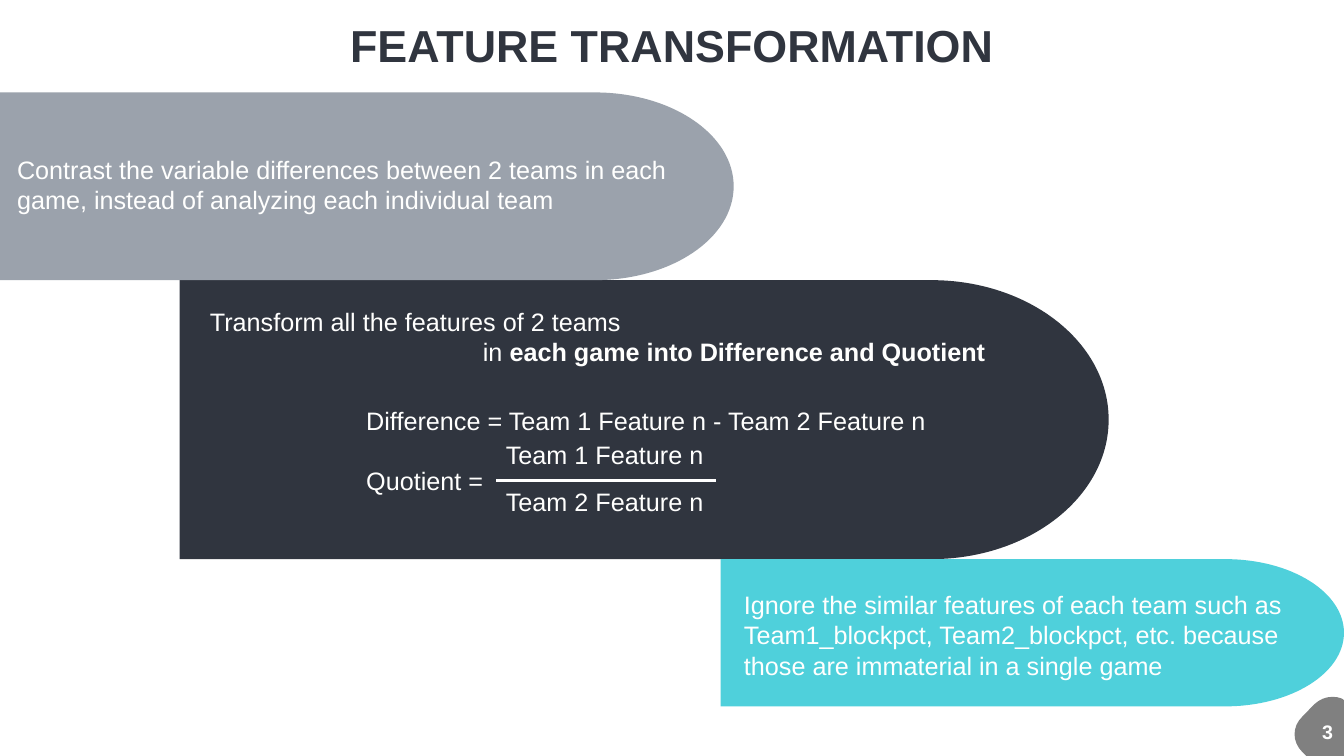
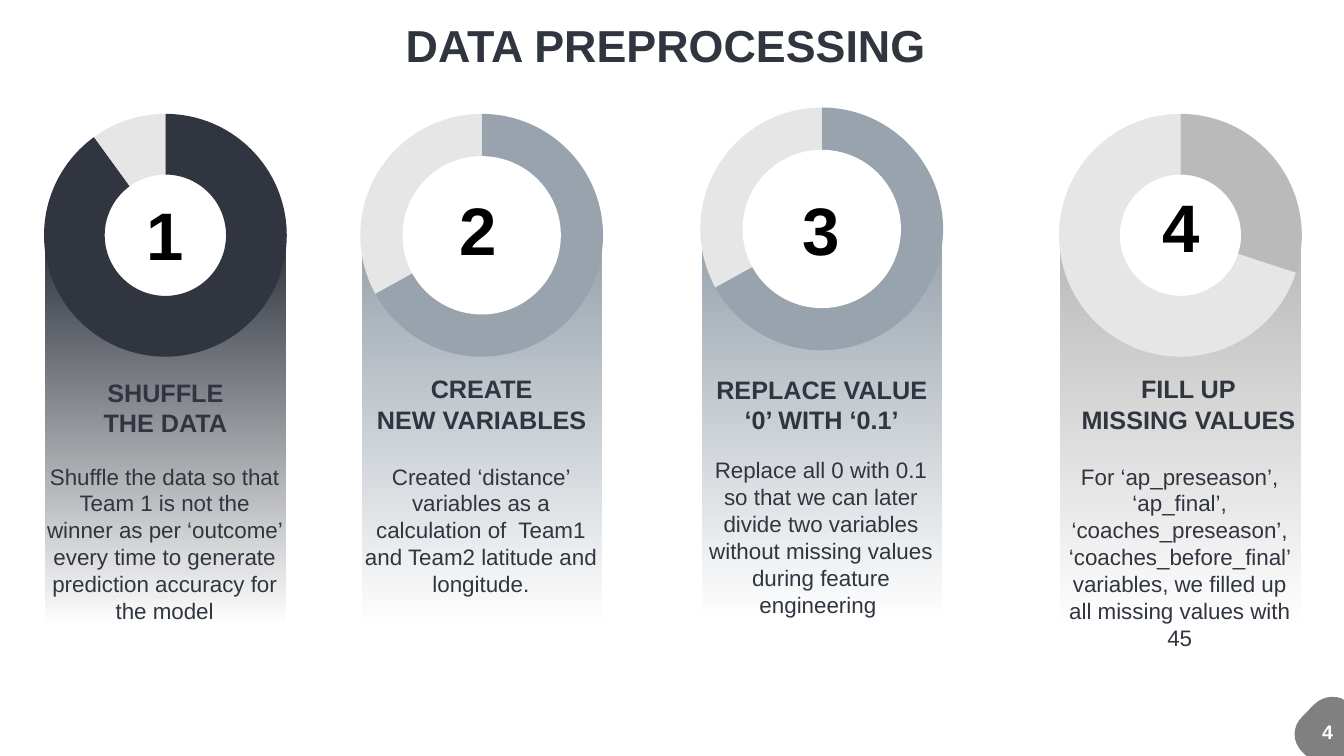
from lxml.etree import SubElement
from pptx import Presentation
from pptx.chart.data import CategoryChartData
from pptx.dml.color import RGBColor
from pptx.enum.chart import XL_CHART_TYPE
from pptx.enum.shapes import MSO_CONNECTOR, MSO_SHAPE
from pptx.enum.text import MSO_ANCHOR, PP_ALIGN
from pptx.oxml import parse_xml
from pptx.oxml.ns import nsdecls, qn
from pptx.util import Cm, Pt

COLORS = {
    "dark": "30353F",
    "gray": "9BA2AC",
    "teal": "4FD0DB",
    "steel": "98A3AD",
    "silver": "BABABA",
    "rest": "E6E6E6",
    "badge": "808080",
    "white": "FFFFFF",
    "light": "FFFFFE",
    "black": "000000",
}
FONT = "Arial"
WIDTH, HEIGHT = 33.87, 19.05
RING_WIDTH, RING_HEIGHT, RING_SIZE = 10.21, 6.81, 6.12
DISC_SIZE = 3.99
BAND_WIDTH = 6.03
BODY_WIDTH = 6
ARC_HANDLE = 0.5523

BADGE = [
    (33.58, 17.56),
    (33.66, 17.56, 33.73, 17.57, 33.81, 17.6),
    (33.88, 17.65),
    (33.88, 19.07),
    (32.94, 19.07),
    (32.82, 18.95),
    (32.56, 18.69, 32.56, 18.31, 32.82, 18.06),
    (33.12, 17.75),
    (33.25, 17.63, 33.4, 17.56, 33.58, 17.56),
]

COLUMNS = [
    {
        "number": "1", "center": 4.17, "lift": 0, "color": "dark", "share": 90,
        "disc_in_front": False, "number_at": (4.17, 4.75),
        "heading_at": (4.17, 9.5), "heading_width": 3.15,
        "heading": "SHUFFLE\nTHE DATA", "body_height": 4.11,
        "body": "Shuffle the data so that Team 1 is not the winner as per ‘outcome’ "
                "every time to generate prediction accuracy for the model",
    },
    {
        "number": "2", "center": 12.14, "lift": 0, "color": "steel", "share": 67,
        "disc_in_front": True, "number_at": (12.05, 4.62),
        "heading_at": (12.14, 9.42), "heading_width": 5.33,
        "heading": "CREATE\nNEW VARIABLES", "body_height": 3.43,
        "body": "Created ‘distance’ variables as a calculation of  Team1 and Team2 "
                "latitude and longitude.",
    },
    {
        "number": "3", "center": 20.71, "lift": 0.16, "color": "steel", "share": 67,
        "disc_in_front": True, "number_at": (20.69, 4.62),
        "heading_at": (20.71, 9.43), "heading_width": 5.36,
        "heading": "REPLACE VALUE\n‘0’ WITH ‘0.1’", "body_height": 4.11,
        "body": "Replace all 0 with 0.1 so that we can later divide two variables "
                "without missing values during feature engineering ",
    },
    {
        "number": "4", "center": 29.75, "lift": 0, "color": "silver", "share": 30,
        "disc_in_front": False, "number_at": (29.76, 4.55),
        "heading_at": (29.95, 9.42), "heading_width": 5.44,
        "heading": "FILL UP\nMISSING VALUES", "body_height": 4.78,
        "body": "For ‘ap_preseason’, ‘ap_final’, ‘coaches_preseason’, "
                "‘coaches_before_final’ variables, we filled up all missing values with 45",
    },
]


def rgb(name):
    return RGBColor.from_string(COLORS[name])


class Deck:
    def __init__(self):
        self.deck = Presentation()
        self.deck.slide_width = Cm(WIDTH)
        self.deck.slide_height = Cm(HEIGHT)
        self.page = None

    def new_page(self, title, title_width, number):
        self.page = self.deck.slides.add_slide(self.deck.slide_layouts[6])
        self.text(((WIDTH - title_width) / 2, 0.44, title_width, 1.37), title, 32, "dark",
                  bold=True, align=PP_ALIGN.CENTER, wrap=False, inset=False)
        self.number = number

    def add_badge(self):
        self.outline(BADGE, "badge")
        self.text((33.07, 18.01, 0.81, 0.86), self.number, 14, "white", bold=True, wrap=False)

    def style(self, span, size, color, bold=False):
        span.font.name = FONT
        span.font.size = Pt(size)
        span.font.bold = bold
        span.font.color.rgb = rgb(color)

    def text(self, place, words, size, color, bold=False, align=PP_ALIGN.LEFT,
             wrap=True, inset=True):
        box = self.page.shapes.add_textbox(*map(Cm, place))
        frame = box.text_frame
        frame.word_wrap = wrap
        frame.vertical_anchor = MSO_ANCHOR.TOP
        if not inset:
            frame.margin_left = frame.margin_right = frame.margin_top = frame.margin_bottom = 0
        frame.text = words
        for para in frame.paragraphs:
            para.alignment = align
            for span in para.runs:
                self.style(span, size, color, bold)
        return frame.paragraphs

    def paint(self, shape, color):
        shape.shadow.inherit = False
        shape.fill.solid()
        shape.fill.fore_color.rgb = rgb(color)
        shape.line.fill.background()

    def outline(self, segments, color):
        points = [(Cm(part[i]), Cm(part[i + 1]))
                  for part in segments for i in range(0, len(part), 2)]
        builder = self.page.shapes.build_freeform(*points[0])
        builder.add_line_segments(points[1:], close=True)
        shape = builder.convert_to_shape()
        steps = iter(shape._element.spPr.findall(".//" + qn("a:lnTo")))
        for part in segments[1:]:
            first = next(steps)
            if len(part) == 6:
                first.tag = qn("a:cubicBezTo")
                for step in (next(steps), next(steps)):
                    first.append(step[0])
                    step.getparent().remove(step)
        self.paint(shape, color)

    def tongue(self, left, top, right, bottom, bend, color):
        middle = (top + bottom) / 2
        reach = bend + (right - bend) * ARC_HANDLE
        rise = (bottom - top) / 2 * ARC_HANDLE
        self.outline([
            (left, top),
            (bend, top),
            (reach, top, right, middle - rise, right, middle),
            (right, middle + rise, reach, bottom, bend, bottom),
            (left, bottom),
        ], color)

    def rule(self, left, right, top):
        line = self.page.shapes.add_connector(
            MSO_CONNECTOR.STRAIGHT, Cm(left), Cm(top), Cm(right), Cm(top))
        line.line.color.rgb = rgb("white")
        line.line.width = Pt(2.25)
        SubElement(line._element.spPr, qn("a:effectLst"))

    def fading_band(self, place, color):
        band = self.page.shapes.add_shape(MSO_SHAPE.RECTANGLE, *map(Cm, place))
        self.paint(band, color)
        band.fill.gradient()
        band.fill.gradient_angle = 270
        for stop in band.fill.gradient_stops:
            stop.color.rgb = rgb(color)
        last = band._element.spPr.findall(".//" + qn("a:srgbClr"))[-1]
        SubElement(last, qn("a:alpha")).set("val", "0")

    def disc(self, center, middle):
        half = DISC_SIZE / 2
        shape = self.page.shapes.add_shape(
            MSO_SHAPE.OVAL, Cm(center - half), Cm(middle - half), Cm(DISC_SIZE), Cm(DISC_SIZE))
        self.paint(shape, "white")

    def ring(self, center, middle, share, color):
        data = CategoryChartData()
        data.categories = ["1", "2"]
        data.add_series("Series 1", (share, 100 - share))
        chart = self.page.shapes.add_chart(
            XL_CHART_TYPE.DOUGHNUT, Cm(center - RING_WIDTH / 2), Cm(middle - RING_HEIGHT / 2),
            Cm(RING_WIDTH), Cm(RING_HEIGHT), data).chart
        chart.has_legend = False
        chart.has_title = False
        chart.font.name = FONT
        chart.font.size = Pt(10)
        chart.font.color.rgb = rgb("black")
        plot = chart.plots[0]
        plot.vary_by_categories = True
        plot.has_data_labels = False
        for index, name in enumerate((color, "rest")):
            part = plot.series[0].points[index].format
            part.fill.solid()
            part.fill.fore_color.rgb = rgb(name)
            part.line.fill.background()
        self.fit_ring(chart)

    def fit_ring(self, chart):
        area = chart._chartSpace.find(".//" + qn("c:plotArea"))
        area.find(".//" + qn("c:holeSize")).set("val", "65")
        for layout in area.findall(qn("c:layout")):
            area.remove(layout)
        wide, high = RING_SIZE / RING_WIDTH, RING_SIZE / RING_HEIGHT
        sizes = {"x": (1 - wide) / 2, "y": (1 - high) / 2, "w": wide, "h": high}
        values = "".join(f'<c:{key} val="{value:.4f}"/>' for key, value in sizes.items())
        area.insert(0, parse_xml(
            f'<c:layout {nsdecls("c")}><c:manualLayout><c:layoutTarget val="inner"/>'
            f'<c:xMode val="edge"/><c:yMode val="edge"/>{values}</c:manualLayout></c:layout>'))

    def column(self, item):
        center, lift = item["center"], item["lift"]
        middle = 5.93 - lift
        self.fading_band((center - BAND_WIDTH / 2, 6.08 - lift, BAND_WIDTH, 9.65), item["color"])
        if not item["disc_in_front"]:
            self.disc(center, middle)
        self.ring(center, middle, item["share"], item["color"])
        if item["disc_in_front"]:
            self.disc(center, middle)
        self.text((center - 0.02 - BODY_WIDTH / 2, 11.66 - lift, BODY_WIDTH,
                   item["body_height"]), item["body"], 16, "dark",
                  align=PP_ALIGN.CENTER, inset=False)
        x, y = item["heading_at"]
        width = item["heading_width"]
        self.text((x - width / 2, y, width, 1.55), item["heading"], 18, "dark", bold=True,
                  align=PP_ALIGN.CENTER, wrap=False, inset=False)
        x, y = item["number_at"]
        self.text((x - 0.72, y, 1.45, 2.31), item["number"], 48, "black", bold=True)


def feature_transformation(deck):
    deck.new_page("FEATURE TRANSFORMATION", 16.36, "3")
    deck.tongue(4.53, 7.06, 27.94, 14.09, 23.47, "dark")
    deck.tongue(0, 2.33, 18.49, 7.06, 14.99, "gray")
    deck.tongue(18.16, 14.09, WIDTH, 17.8, 30.88, "teal")
    deck.text((0.18, 3.76, 17.15, 1.8),
              "Contrast the variable differences between 2 teams in each game, "
              "instead of analyzing each individual team", 18, "light")
    lines = deck.text((5.04, 7.59, 20.07, 1.8),
                      "Transform all the features of 2 teams\nin ", 18, "light")
    lines[1]._p.get_or_add_pPr().set("marL", str(Cm(6.88)))
    strong = lines[1].add_run()
    strong.text = "each game into Difference and Quotient"
    deck.style(strong, 18, "light", bold=True)
    formulas = deck.text((8.98, 10.08, 16.97, 2.57),
                         "Difference = Team 1 Feature n - Team 2 Feature n\nQuotient =",
                         18, "light")
    formulas[1].space_before = Pt(21.5)
    for top, words in ((10.95, "Team 1 Feature n"), (12.14, "Team 2 Feature n")):
        deck.text((12.5, top, 5.54, 1.02), words, 18, "light", wrap=False)
    deck.rule(12.5, 18.04, 12.11)
    deck.text((18.5, 14.73, 14.94, 2.57),
              "Ignore the similar features of each team such as Team1_blockpct, "
              "Team2_blockpct, etc. because those are immaterial in a single game", 18, "light")
    deck.add_badge()


def data_preprocessing(deck):
    deck.new_page("DATA PREPROCESSING ", 13.54, "4")
    for item in COLUMNS:
        deck.column(item)
    deck.add_badge()


def main():
    deck = Deck()
    feature_transformation(deck)
    data_preprocessing(deck)
    deck.deck.save("out.pptx")


if __name__ == "__main__":
    main()
